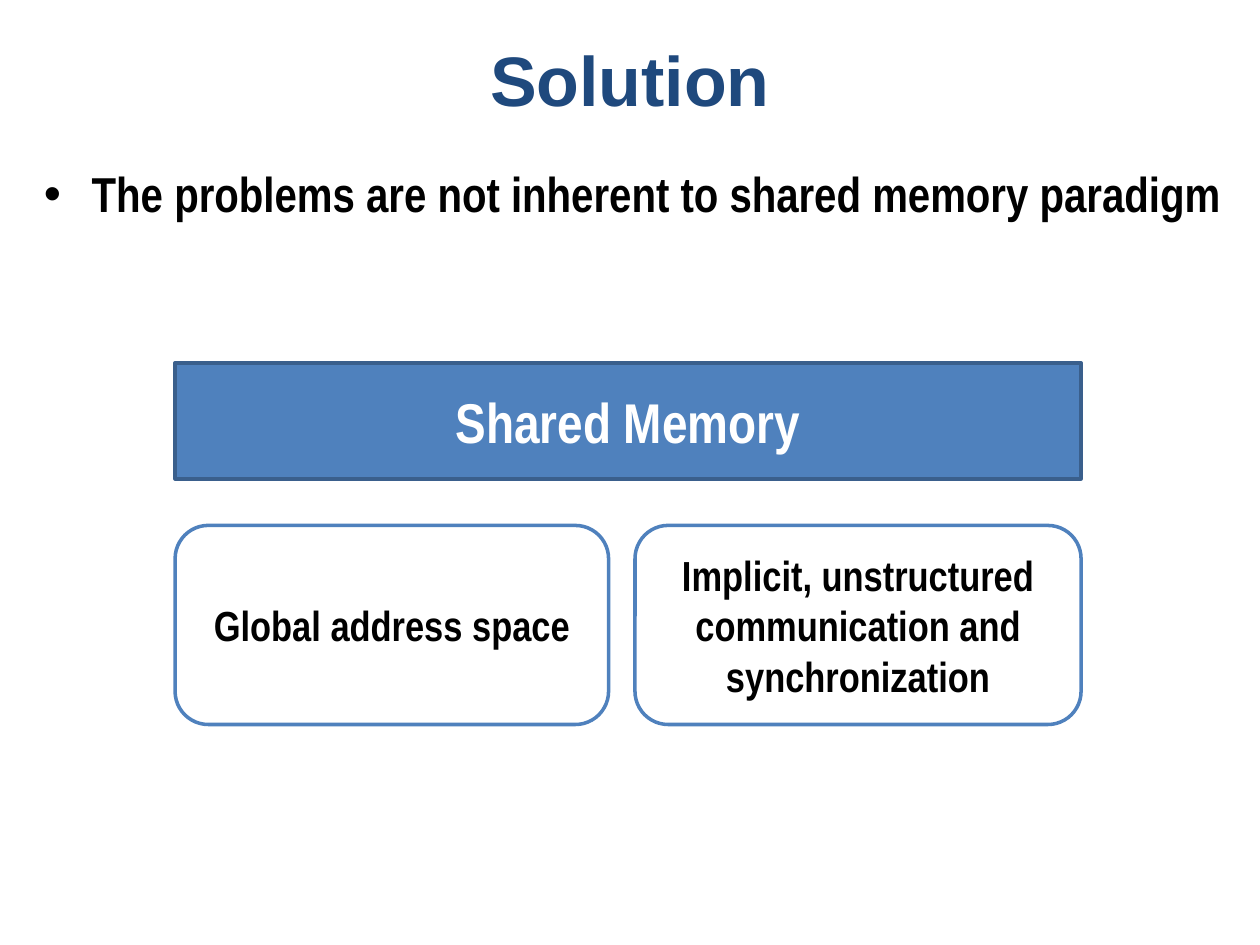
from lxml.etree import SubElement
from pptx import Presentation
from pptx.dml.color import RGBColor
from pptx.enum.shapes import MSO_SHAPE
from pptx.enum.text import MSO_ANCHOR, PP_ALIGN
from pptx.oxml.ns import qn
from pptx.util import Inches, Pt

NAVY = RGBColor(0x1F, 0x49, 0x7D)
BLUE = RGBColor(0x4F, 0x81, 0xBD)
EDGE = RGBColor(0x3A, 0x5F, 0x8C)
BLACK = RGBColor(0, 0, 0)
WHITE = RGBColor(255, 255, 255)
NARROW = "Arial Narrow"


def set_text(frame, text, size, color, face=NARROW):
    frame.word_wrap = True
    para = frame.paragraphs[0]
    para.text = text
    font = para.font
    font.name, font.size, font.bold = face, Pt(size), True
    font.color.rgb = color
    return para


def add_title(slide, text):
    box = slide.shapes.add_textbox(Inches(0.5), 0, Inches(9), Inches(1.25))
    box.text_frame.vertical_anchor = MSO_ANCHOR.MIDDLE
    para = set_text(box.text_frame, text, 40, NAVY, "Arial")
    para.alignment = PP_ALIGN.CENTER


def add_bullet(slide, text):
    box = slide.shapes.add_textbox(
        Inches(0.25), Inches(1.25), Inches(10), Inches(5.28))
    # The bullet element goes in before the font
    props = box.text_frame.paragraphs[0]._p.get_or_add_pPr()
    props.set("marL", str(Inches(0.38)))
    props.set("indent", str(-Inches(0.38)))
    SubElement(props, qn("a:buFont")).set("typeface", "Arial")
    SubElement(props, qn("a:buChar")).set("char", "•")
    set_text(box.text_frame, text, 28, BLACK)


def add_block(slide, kind, area, text, size, fill, line, color):
    block = slide.shapes.add_shape(kind, *map(Inches, area))
    block.shadow.inherit = False
    block.fill.solid()
    block.fill.fore_color.rgb = fill
    block.line.color.rgb = line
    block.line.width = Pt(2)
    block.text_frame.vertical_anchor = MSO_ANCHOR.MIDDLE
    para = set_text(block.text_frame, text, size, color)
    para.alignment = PP_ALIGN.CENTER


def main():
    deck = Presentation()
    deck.slide_width, deck.slide_height = Inches(10), Inches(7.5)
    slide = deck.slides.add_slide(deck.slide_layouts[6])

    # Heading and statement
    add_title(slide, "Solution")
    add_bullet(slide, "The problems are not inherent to shared memory paradigm")

    # Two aspects below the shared memory bar
    aspects = [
        (1.39, 3.44, "Global address space"),
        (5.04, 3.54, "Implicit, unstructured communication and synchronization"),
    ]
    for left, width, text in aspects:
        add_block(slide, MSO_SHAPE.ROUNDED_RECTANGLE, (left, 4.17, width, 1.58),
                  text, 24, WHITE, BLUE, BLACK)
    add_block(slide, MSO_SHAPE.RECTANGLE, (1.39, 2.88, 7.19, 0.92),
              "Shared Memory", 32, BLUE, EDGE, WHITE)

    deck.save("out.pptx")


if __name__ == "__main__":
    main()
